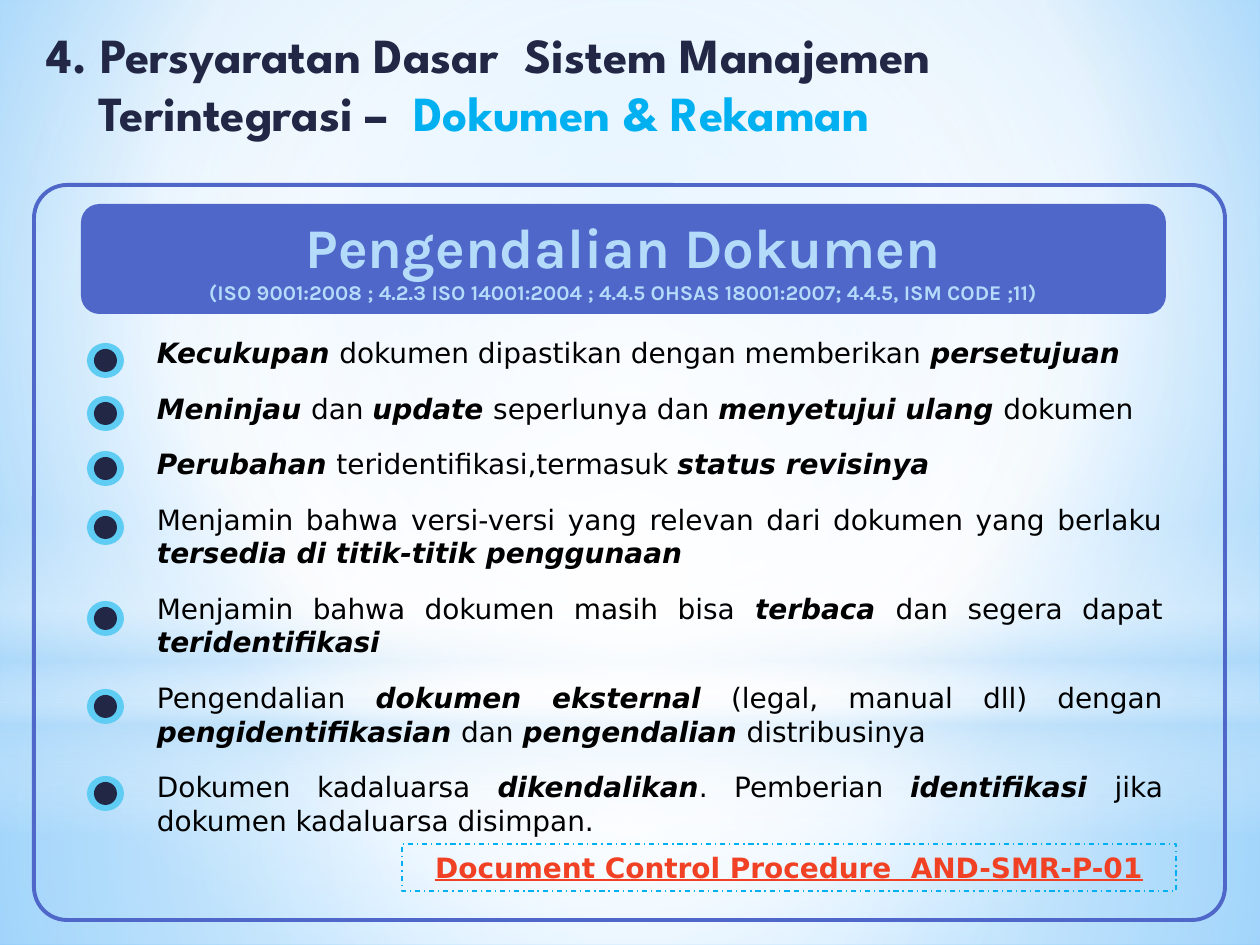
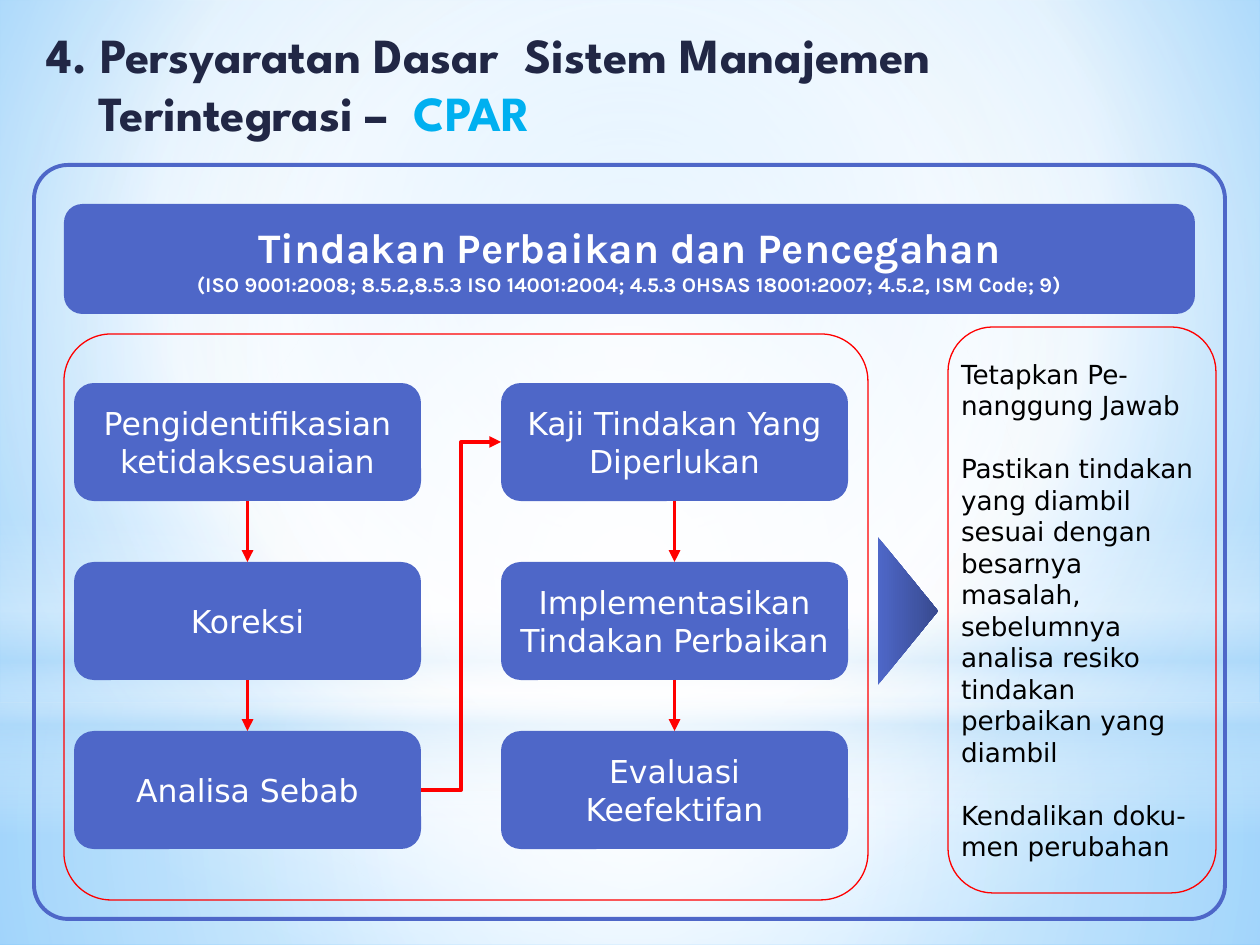
from itertools import pairwise

from lxml import etree
from pptx import Presentation
from pptx.dml.color import RGBColor
from pptx.enum.dml import MSO_LINE
from pptx.enum.shapes import MSO_CONNECTOR, MSO_SHAPE
from pptx.enum.text import MSO_ANCHOR, MSO_AUTO_SIZE, PP_ALIGN
from pptx.oxml.ns import qn
from pptx.util import Pt

RECTANGLE, ROUNDED = MSO_SHAPE.RECTANGLE, MSO_SHAPE.ROUNDED_RECTANGLE
ELLIPSE, PENTAGON = MSO_SHAPE.OVAL, MSO_SHAPE.PENTAGON
STRAIGHT, ELBOW = MSO_CONNECTOR.STRAIGHT, MSO_CONNECTOR.ELBOW
LEFT, CENTER, JUSTIFY = PP_ALIGN.LEFT, PP_ALIGN.CENTER, PP_ALIGN.JUSTIFY
TOP, MIDDLE = MSO_ANCHOR.TOP, MSO_ANCHOR.MIDDLE
DASH_DOT = MSO_LINE.DASH_DOT
SITE_TOP, SITE_LEFT, SITE_BOTTOM, SITE_RIGHT = range(4)

EMU_PER_PX = 914400 / 126
SLIDE_WIDTH, SLIDE_HEIGHT = 1260, 945
BODY_FONT, BANNER_FONT, TITLE_FONT = "DejaVu Sans", "Karla", "League Spartan"
COLORS = {
    "navy": "212745", "blue": "4E67C8", "deep": "384A8F", "pale": "B4DCFA",
    "cyan": "5ECCF3", "accent": "00B0F0", "orange": "F14124", "red": "FF0000",
    "black": "000000", "white": "FFFFFF", "sky": "9ED5FF", "azure": "5BB9FF",
}
CENTERED = (50, 50, 50, 50)
BACKGROUND = [(0, "sky", 100), (60, "white", 100), (100, "azure", 100)]
BACKDROP = [
    (RECTANGLE, (0, 703, 1260, 242), CENTERED,
     [(0, "white", 91), (37, "white", 76), (100, "pale", 79)]),
    (RECTANGLE, (0, 0, 1260, 703), CENTERED,
     [(0, "white", 89), (48, "white", 62), (100, "pale", 79)]),
    (RECTANGLE, (0, 519, 1260, 315), 90,
     [(0, "white", 0), (29, "white", 30), (45, "pale", 40),
      (55, "white", 26), (65, "pale", 60), (100, "white", 0)]),
    (ELLIPSE, (0, 220, 1260, 703), CENTERED,
     [(0, "white", 100), (56, "white", 0)]),
]
CONTROLS = [
    (158, "*Kecukupan *dokumen dipastikan dengan memberikan *persetujuan*"),
    (211, "*Meninjau *dan *update *seperlunya dan *menyetujui ulang *dokumen"),
    (266, "*Perubahan *teridentifikasi,termasuk *status revisinya*"),
    (325, "Menjamin bahwa versi-versi yang relevan dari dokumen yang berlaku "
          "*tersedia di titik-titik penggunaan*"),
    (416, "Menjamin bahwa dokumen masih bisa *terbaca *dan segera dapat "
          "*teridentifikasi*"),
    (504, "Pengendalian *dokumen eksternal* (legal, manual dll) dengan "
          "*pengidentifikasian *dan *pengendalian *distribusinya"),
    (591, "Dokumen kadaluarsa *dikendalikan*. Pemberian *identifikasi *jika "
          "dokumen kadaluarsa disimpan."),
]
STEPS = ["Pengidentifikasian ketidaksesuaian", "Koreksi", "Analisa Sebab",
         "Kaji Tindakan Yang Diperlukan", "Implementasikan Tindakan Perbaikan",
         "Evaluasi Keefektifan"]
DUTIES = [
    "Tetapkan Pe-nanggung Jawab",
    "Pastikan tindakan yang diambil sesuai dengan besarnya masalah, "
    "sebelumnya analisa resiko tindakan perbaikan yang diambil",
    "Kendalikan doku-men perubahan",
]


def px(length):
    """Turn pixels into EMU."""
    return round(length * EMU_PER_PX)


def color(name):
    """Return the named colour."""
    return RGBColor.from_string(COLORS[name])


def within(box, left, top, width, height):
    """Return an area given relative to the corner of a box."""
    return box[0] + left, box[1] + top, width, height


def set_gradient(holder, stops, direction):
    """Replace a solid fill by a linear (angle) or circular (rectangle) gradient."""
    gradient = etree.Element(qn("a:gradFill"), rotWithShape="1")
    stop_list = etree.SubElement(gradient, qn("a:gsLst"))
    for position, name, opacity in stops:
        stop = etree.SubElement(stop_list, qn("a:gs"), pos=str(position * 1000))
        tint = etree.SubElement(stop, qn("a:srgbClr"), val=COLORS[name])
        etree.SubElement(tint, qn("a:alpha"), val=str(opacity * 1000))
    if isinstance(direction, tuple):
        circle = etree.SubElement(gradient, qn("a:path"), path="circle")
        sides = {side: str(value * 1000) for side, value in zip("ltrb", direction)}
        etree.SubElement(circle, qn("a:fillToRect"), sides)
    else:
        etree.SubElement(gradient, qn("a:lin"), ang=str(direction * 60000), scaled="0")
    holder.replace(holder.find(qn("a:solidFill")), gradient)


def add_shape(slide, kind, box, fill=None, line=None, weight=0.75, corner=None):
    """Add a flat preset shape."""
    shape = slide.shapes.add_shape(kind, *map(px, box))
    shape.shadow.inherit = False
    if fill:
        shape.fill.solid()
        shape.fill.fore_color.rgb = color(fill)
    else:
        shape.fill.background()
    if line:
        shape.line.color.rgb = color(line)
        shape.line.width = Pt(weight)
    else:
        shape.line.fill.background()
    if corner is not None:
        shape.adjustments[0] = corner
    return shape


def style(paragraph, size, name, font=BODY_FONT, align=CENTER, bold=False):
    """Format a whole paragraph."""
    paragraph.alignment = align
    paragraph.font.size = Pt(size)
    paragraph.font.name = font
    paragraph.font.bold = bold
    paragraph.font.color.rgb = color(name)


def fill_frame(shape, texts, anchor=MIDDLE, side=13, wrap=True):
    """Set up a text frame and return one paragraph for each text."""
    frame = shape.text_frame
    frame.word_wrap = wrap
    frame.auto_size = MSO_AUTO_SIZE.NONE
    frame.vertical_anchor = anchor
    frame.margin_left = frame.margin_right = px(side)
    frame.margin_top = frame.margin_bottom = px(6)
    frame.text = "\n".join(texts)
    return frame.paragraphs


def build_master(presentation, slide):
    """Put the background and its light layers on the slide master."""
    master = presentation.slide_master
    master.background.fill.solid()
    set_gradient(master.element.xpath(".//p:bgPr")[0], BACKGROUND, (20, 10, 20, 60))
    for index, (kind, box, direction, stops) in enumerate(BACKDROP):
        element = add_shape(slide, kind, box, "white").element
        set_gradient(element.spPr, stops, direction)
        element.xpath(".//p:cNvPr")[0].set("id", str(100 + index))
        master.shapes.element.insert(2 + index, element)


def draw_title(slide, topic):
    """Fill the two-line title, ending in the topic of the slide."""
    title = slide.shapes.title
    title.left, title.top, title.width, title.height = map(px, (34, 18, 1019, 144))
    texts = ["4. Persyaratan Dasar  Sistem Manajemen", "Terintegrasi –  "]
    paragraphs = fill_frame(title, texts, TOP)
    for paragraph, indent in zip(paragraphs, (-52, 0)):
        style(paragraph, 28, "navy", TITLE_FONT, LEFT, True)
        properties = paragraph._p.get_or_add_pPr()
        properties.set("marL", str(px(52)))
        properties.set("indent", str(px(indent)))
    run = paragraphs[1].add_run()
    run.text = topic
    run.font.color.rgb = color("accent")


def draw_banner(slide, box, heading, clauses, size, name):
    """Draw the heading band with its list of clauses."""
    banner = add_shape(slide, ROUNDED, box, "blue", corner=0.167)
    paragraphs = fill_frame(banner, [heading, clauses], wrap=False)
    for paragraph, points in zip(paragraphs, (size, 12)):
        style(paragraph, points, name, BANNER_FONT, bold=True)


def draw_frame(slide, box):
    """Draw the outline around the content."""
    add_shape(slide, ROUNDED, box, line="blue", weight=2.25, corner=0.045)


def draw_controls(slide, box):
    """List the document controls with their round markers."""
    textbox = slide.shapes.add_textbox(*map(px, within(box, 110, 145, 1032, 538)))
    paragraphs = fill_frame(textbox, [""] * len(CONTROLS), TOP)
    for paragraph, (marker_top, text) in zip(paragraphs, CONTROLS):
        style(paragraph, 16, "black", align=JUSTIFY)
        paragraph.space_after = Pt(12.5)
        for index, part in enumerate(text.split("*")):
            if part:
                run = paragraph.add_run()
                run.text = part
                run.font.bold = run.font.italic = index % 2 == 1
        marker = within(box, 53, marker_top, 37, 35)
        add_shape(slide, ELLIPSE, marker, "cyan")
        add_shape(slide, ELLIPSE, within(marker, 7, 6, 23, 23), "navy")


def draw_procedure(slide, box):
    """Draw the dashed box that names the procedure."""
    shape = add_shape(slide, RECTANGLE, box, line="accent")
    shape.line.dash_style = DASH_DOT
    paragraph, = fill_frame(shape, ["Document Control Procedure  AND-SMR-P-01"])
    style(paragraph, 16, "orange", bold=True)
    paragraph.font.underline = True


def connect(slide, kind, source, source_site, target, target_site):
    """Join two steps with a red arrow."""
    connector = slide.shapes.add_connector(kind, 0, 0, 0, 0)
    connector.begin_connect(source, source_site)
    connector.end_connect(target, target_site)
    connector.line.color.rgb = color("red")
    connector.line.width = Pt(2.25)
    properties = connector.element.spPr
    etree.SubElement(properties.find(qn("a:ln")), qn("a:tailEnd"), type="triangle")
    etree.SubElement(properties, qn("a:effectLst"))


def draw_flow(slide, box):
    """Draw the steps in two columns, joined in order."""
    add_shape(slide, ROUNDED, box, line="red", corner=0.083)
    places = [(left, top) for left in (10, 437) for top in (49, 228, 397)]
    steps = []
    for (left, top), text in zip(places, STEPS):
        step = add_shape(slide, ROUNDED, within(box, left, top, 347, 118),
                         "blue", corner=0.167)
        paragraph, = fill_frame(step, [text], side=12)
        style(paragraph, 18, "white")
        steps.append(step)
    for source, target in pairwise(steps):
        if source.left == target.left:
            connect(slide, STRAIGHT, source, SITE_BOTTOM, target, SITE_TOP)
        else:
            connect(slide, ELBOW, source, SITE_RIGHT, target, SITE_LEFT)


def draw_duties(slide, box):
    """Draw the pointer and the panel of duties."""
    pointer = add_shape(slide, PENTAGON, within(box, 0, 210, 60, 148), "blue", corner=1)
    set_gradient(pointer.element.spPr, [(0, "blue", 100), (100, "deep", 100)], 0)
    panel = add_shape(slide, ROUNDED, within(box, 70, 0, 268, 566),
                      line="red", corner=0.167)
    for paragraph in fill_frame(panel, DUTIES, side=0):
        style(paragraph, 15, "black", align=LEFT)
        if paragraph.text != DUTIES[-1]:
            paragraph.space_after = Pt(18)


def build_documents(slide):
    """Build the slide on document control."""
    frame = (34, 185, 1191, 735)
    draw_title(slide, "Dokumen & Rekaman")
    draw_banner(slide, (81, 204, 1085, 110), "Pengendalian Dokumen",
                "(ISO 9001:2008 ; 4.2.3 ISO 14001:2004 ; 4.4.5 "
                "OHSAS 18001:2007; 4.4.5, ISM CODE ;11)", 32, "pale")
    draw_controls(slide, frame)
    draw_frame(slide, frame)
    draw_procedure(slide, (402, 844, 774, 47))


def build_actions(slide):
    """Build the slide on corrective and preventive action."""
    draw_title(slide, "CPAR")
    draw_banner(slide, (64, 204, 1131, 110), "Tindakan Perbaikan dan Pencegahan",
                "(ISO 9001:2008; 8.5.2,8.5.3 ISO 14001:2004; 4.5.3 "
                "OHSAS 18001:2007; 4.5.2, ISM Code; 9)", 24, "white")
    draw_flow(slide, (64, 334, 804, 566))
    draw_duties(slide, (878, 327, 338, 566))
    draw_frame(slide, (34, 165, 1191, 754))


def main():
    """Build and save the presentation."""
    presentation = Presentation()
    presentation.slide_width = px(SLIDE_WIDTH)
    presentation.slide_height = px(SLIDE_HEIGHT)
    layout = presentation.slide_layouts[5]
    documents, actions = [presentation.slides.add_slide(layout) for _ in range(2)]
    build_master(presentation, documents)
    build_documents(documents)
    build_actions(actions)
    presentation.save("out.pptx")


if __name__ == "__main__":
    main()
